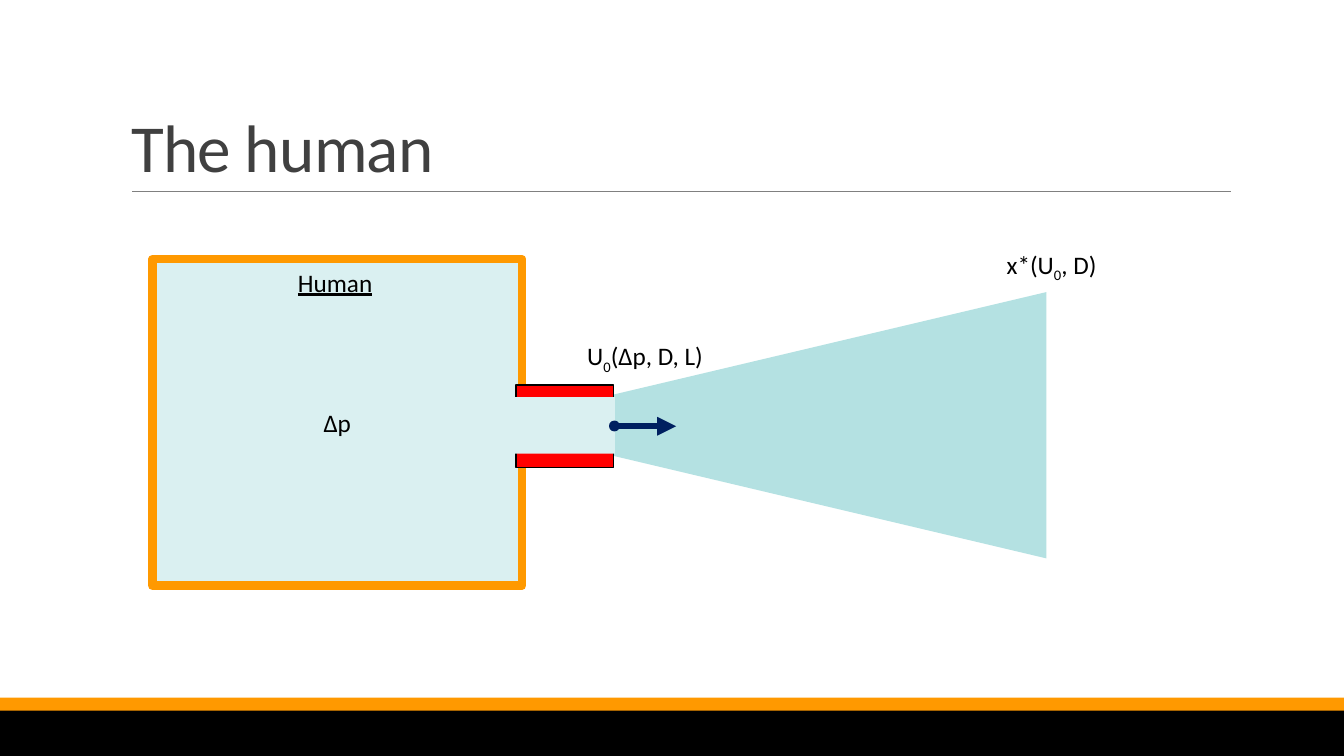
from dataclasses import dataclass

from lxml.etree import SubElement
from pptx import Presentation
from pptx.dml.color import RGBColor
from pptx.enum.shapes import MSO_CONNECTOR, MSO_SHAPE
from pptx.enum.text import MSO_ANCHOR, MSO_AUTO_SIZE, PP_ALIGN
from pptx.oxml.ns import qn
from pptx.util import Cm, Pt

HUES = {
    "black": "000000", "orange": "FF9900", "grey": "808080",
    "title": "404040", "air": "DAF0F1", "jet": "B4E1E2",
    "red": "FF0000", "navy": "002060",
}
BODY = {"name": "Calibri", "size": Pt(18)}
HEAD = {"name": "Calibri", "size": Pt(48)}


@dataclass
class Block:
    kind: MSO_SHAPE
    box: tuple[float, float, float, float]
    fill: str
    edge: str = ""
    width: float = 0
    turn: float = 0
    text: str = ""


@dataclass
class Label:
    left: float
    top: float
    words: tuple[str, ...]  # every second word is a subscript
    line: bool = False


@dataclass
class Rule:
    start: tuple[float, float]
    end: tuple[float, float]
    hue: str
    width: float
    arrow: bool = False


RECT = MSO_SHAPE.RECTANGLE
BLOCKS = [
    # Footer bands
    Block(RECT, (0, 17.78, 33.87, 1.27), "black"),
    Block(RECT, (0, 17.58, 33.87, 0.33), "orange"),
    # Jet cone
    Block(MSO_SHAPE.ISOSCELES_TRIANGLE, (15.93, 3.63, 6.71, 14.17), "jet", turn=270),
    # Human body
    Block(RECT, (3.84, 6.53, 9.32, 8.23), "air", "orange", 6, text="Δp"),
    # Mouth walls and channel
    Block(RECT, (13, 9.7, 2.46, 2.08), "red", "black", 1.25),
    Block(RECT, (12.93, 10.01, 2.57, 1.42), "air"),
    # Start of the flow arrow
    Block(MSO_SHAPE.OVAL, (15.37, 10.62, 0.23, 0.23), "navy", "navy", 1.25),
]
LABELS = [
    Label(14.55, 8.46, ("U", "0", "(Δp, D, L)")),
    Label(25.12, 6.15, ("x*(U", "0", ", D)")),
    Label(7.26, 6.6, ("Human",), line=True),
]
RULES = [
    Rule((3.33, 4.83), (31.01, 4.83), "grey", 0.5),
    Rule((15.49, 10.74), (17.04, 10.74), "navy", 4.5, arrow=True),
]


def tint(name: str) -> RGBColor:
    return RGBColor.from_string(HUES[name])


def style(font, form: dict, hue: str) -> None:
    for key, value in form.items():
        setattr(font, key, value)
    font.color.rgb = tint(hue)


def block(slide, item: Block) -> None:
    shape = slide.shapes.add_shape(item.kind, *map(Cm, item.box))
    shape.shadow.inherit = False
    shape.rotation = item.turn
    shape.fill.solid()
    shape.fill.fore_color.rgb = tint(item.fill)
    if item.edge:
        shape.line.color.rgb = tint(item.edge)
        shape.line.width = Pt(item.width)
    else:
        shape.line.fill.background()
    if item.text:
        frame = shape.text_frame
        frame.vertical_anchor = MSO_ANCHOR.MIDDLE
        para = frame.paragraphs[0]
        para.alignment = PP_ALIGN.CENTER
        run = para.add_run()
        run.text = item.text
        style(run.font, BODY, "black")


def label(slide, item: Label) -> None:
    box = slide.shapes.add_textbox(Cm(item.left), Cm(item.top), Cm(5.87), Cm(1.02))
    frame = box.text_frame
    frame.word_wrap = True
    frame.auto_size = MSO_AUTO_SIZE.SHAPE_TO_FIT_TEXT
    for i, word in enumerate(item.words):
        run = frame.paragraphs[0].add_run()
        run.text = word
        style(run.font, BODY | {"underline": item.line}, "black")
        if i % 2:
            run._r.get_or_add_rPr().set("baseline", "-25000")


def rule(slide, item: Rule) -> None:
    ends = map(Cm, item.start + item.end)
    line = slide.shapes.add_connector(MSO_CONNECTOR.STRAIGHT, *ends)
    line.line.color.rgb = tint(item.hue)
    line.line.width = Pt(item.width)
    props = line._element.spPr
    if item.arrow:
        SubElement(props.find(qn("a:ln")), qn("a:tailEnd"), type="triangle")
    SubElement(props, qn("a:effectLst"))


def title(slide, text: str) -> None:
    shape = slide.shapes.title
    place = {"left": 3.05, "top": 0.79, "width": 27.94, "height": 4.04}
    for key, value in place.items():
        setattr(shape, key, Cm(value))
    frame = shape.text_frame
    frame.auto_size = MSO_AUTO_SIZE.NONE
    frame.vertical_anchor = MSO_ANCHOR.BOTTOM
    para = frame.paragraphs[0]
    para.alignment = PP_ALIGN.LEFT
    para.line_spacing = 0.85
    run = para.add_run()
    run.text = text
    style(run.font, HEAD, "title")
    run._r.get_or_add_rPr().set("spc", "-50")


def main() -> None:
    deck = Presentation()
    deck.slide_width, deck.slide_height = Cm(33.87), Cm(19.05)
    slide = deck.slides.add_slide(deck.slide_layouts[5])
    title(slide, "The human")
    for draw, items in ((block, BLOCKS), (label, LABELS), (rule, RULES)):
        for item in items:
            draw(slide, item)
    deck.save("out.pptx")


if __name__ == "__main__":
    main()
